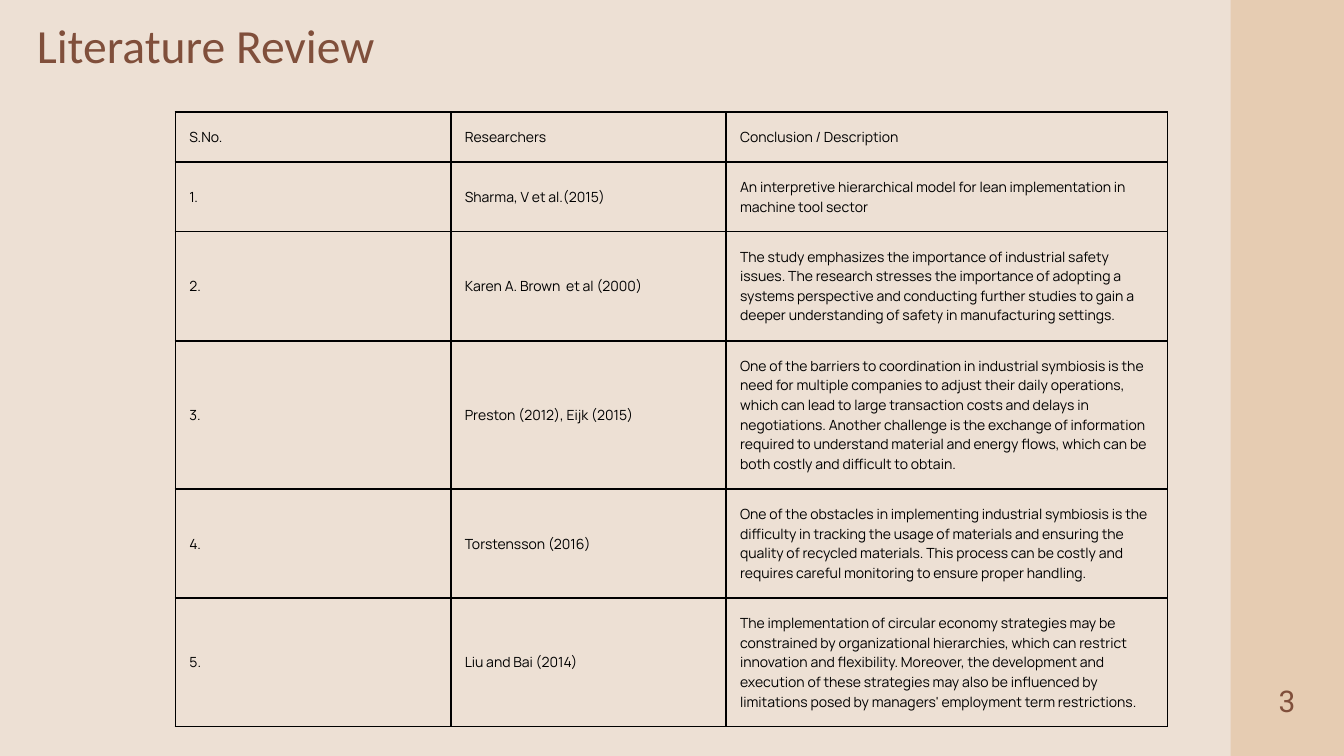
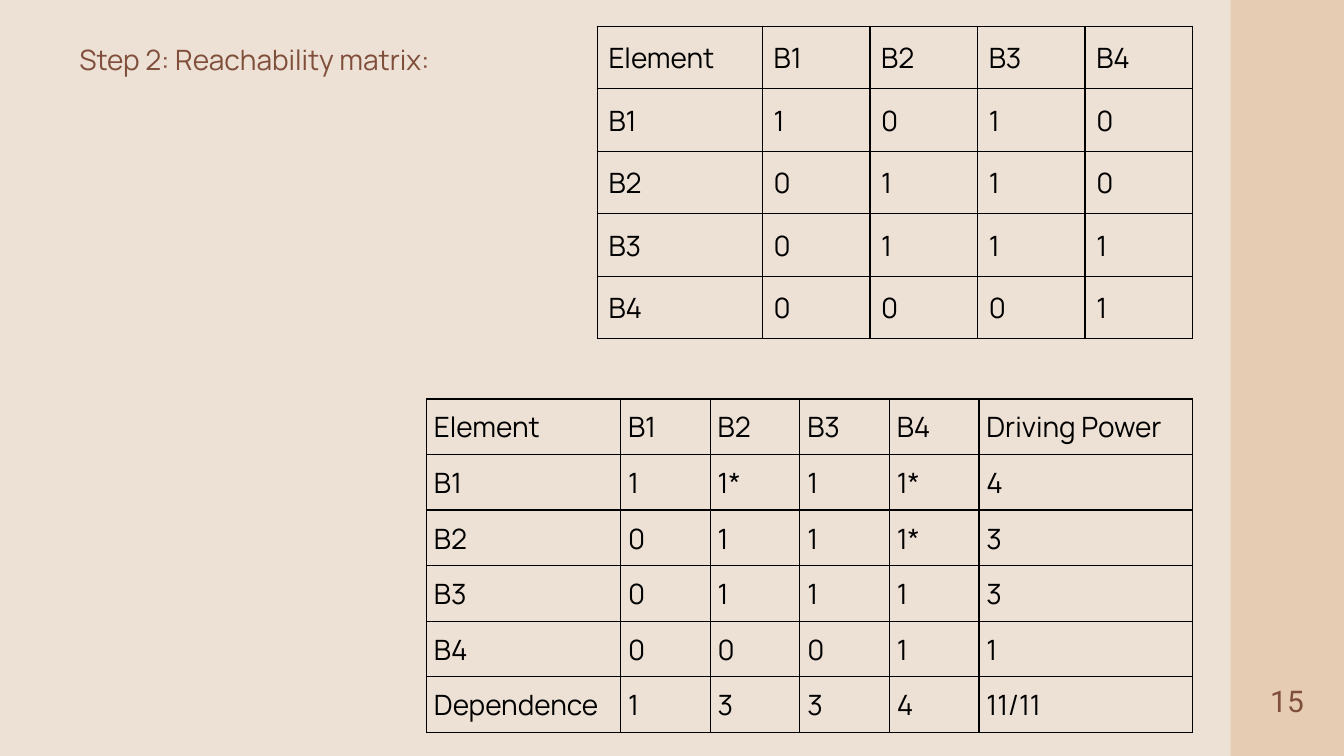
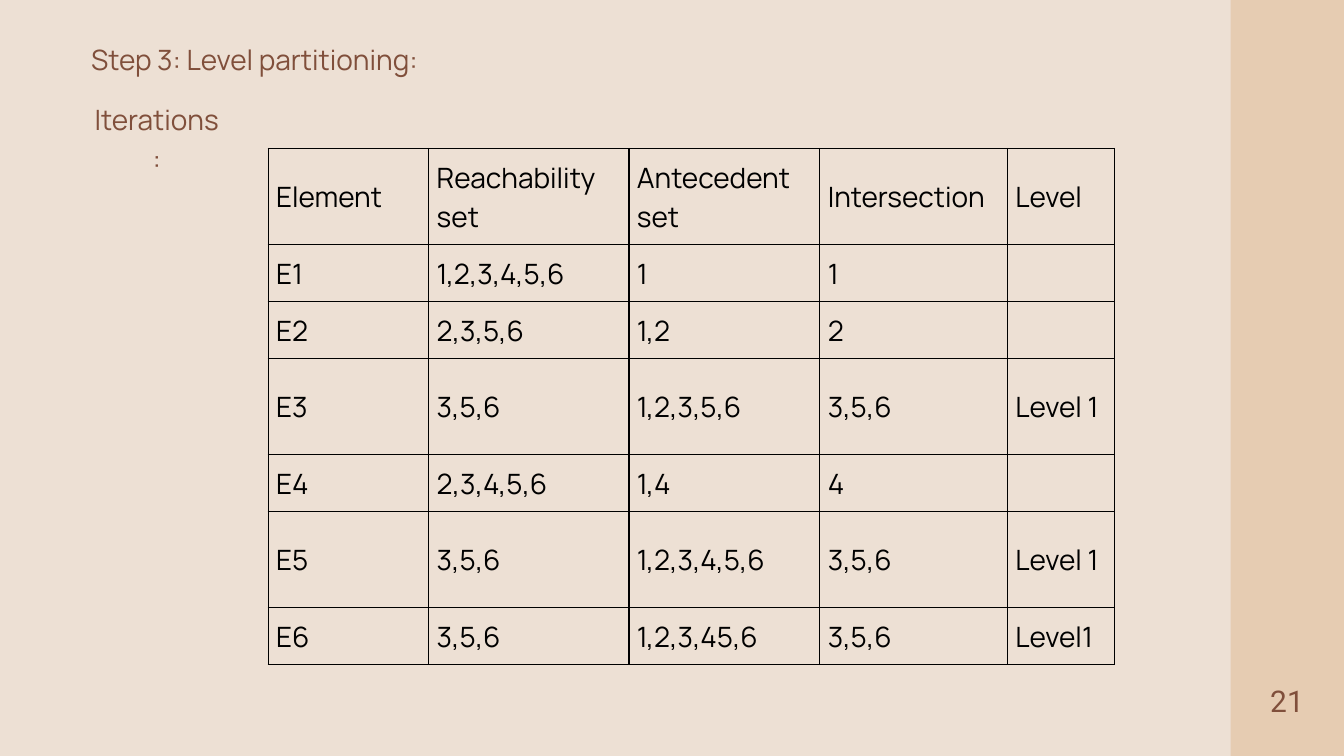
"""Build three slides of an industrial symbiosis study: a literature review and two modelling steps."""

from dataclasses import dataclass

from lxml.etree import SubElement
from pptx import Presentation
from pptx.dml.color import RGBColor
from pptx.enum.shapes import MSO_SHAPE as Preset
from pptx.enum.text import MSO_ANCHOR as Anchor, MSO_AUTO_SIZE as AutoSize, PP_ALIGN as Align
from pptx.oxml.ns import qn
from pptx.util import Pt

SLIDE_WIDTH, SLIDE_HEIGHT = 1440, 810
BAND_LEFT = 1318.5
CREAM, SAND, BROWN, BLACK = "EDE0D4", "E6CCB2", "804F3B", "000000"
MARGINS = ("margin_left", "margin_top", "margin_right", "margin_bottom")
FRAME_FORMAT = {
    **dict.fromkeys(MARGINS, 0),
    "word_wrap": True,
    "auto_size": AutoSize.NONE,
    "vertical_anchor": Anchor.TOP,
}


@dataclass(frozen=True)
class TextStyle:
    font: str
    size: float
    spacing: float
    color: str = BROWN
    align: Align = Align.CENTER


@dataclass(frozen=True)
class Label:
    text: str
    box: tuple[float, float, float, float]
    style: TextStyle


@dataclass(frozen=True)
class Grid:
    left: float
    top: float
    columns: list[float]
    rows: list[float]
    inset: float
    border: float
    style: TextStyle
    cells: list[list[str]]


@dataclass(frozen=True)
class Page:
    number: int
    title: Label
    grids: list[Grid]
    labels: tuple[Label, ...] = ()


HEADLINE = TextStyle("Calibri", 51, 51, align=Align.LEFT)
STEP = TextStyle("Manrope", 30, 42)
NUMBER = TextStyle("Roboto", 32, 44.8)
REVIEW_CELL = TextStyle("Manrope", 15, 21, BLACK, Align.LEFT)
MATRIX_CELL = TextStyle("Manrope", 30, 42, BLACK, Align.LEFT)
STEP_BOX = (34.5, 39.5, 476.5, 41)
NUMBER_BOX = (1348.5, 724.5, 61, 42.5)

REVIEW = Grid(188, 120, [295, 295, 473], [54, 74, 117, 159, 117, 137.5], 15, 2.25, REVIEW_CELL, [
    ["S.No.", "Researchers", "Conclusion / Description"],
    ["1.", "Sharma, V et al.(2015)",
     "An interpretive hierarchical model for lean implementation in machine tool sector"],
    ["2.", "Karen A. Brown  et al (2000)",
     "The study emphasizes the importance of industrial safety issues. The research stresses "
     "the importance of adopting a systems perspective and conducting further studies to gain "
     "a deeper understanding of safety in manufacturing settings."],
    ["3.", "Preston (2012), Eijk (2015)",
     "One of the barriers to coordination in industrial symbiosis is the need for multiple "
     "companies to adjust their daily operations, which can lead to large transaction costs "
     "and delays in negotiations. Another challenge is the exchange of information required "
     "to understand material and energy flows, which can be both costly and difficult to obtain."],
    ["4.", "Torstensson (2016)",
     "One of the obstacles in implementing industrial symbiosis is the difficulty in tracking "
     "the usage of materials and ensuring the quality of recycled materials. This process can "
     "be costly and requires careful monitoring to ensure proper handling."],
    ["5.", "Liu and Bai (2014)",
     "The implementation of circular economy strategies may be constrained by organizational "
     "hierarchies, which can restrict innovation and flexibility. Moreover, the development and "
     "execution of these strategies may also be influenced by limitations posed by managers' "
     "employment term restrictions."],
])

INITIAL_MATRIX = Grid(640, 28, [177] + [115.2] * 4, [67] * 5, 12, 1.5, MATRIX_CELL, [
    ["Element", "B1", "B2", "B3", "B4"],
    ["B1", "1", "0", "1", "0"],
    ["B2", "0", "1", "1", "0"],
    ["B3", "0", "1", "1", "1"],
    ["B4", "0", "0", "0", "1"],
])

FINAL_MATRIX = Grid(457, 427.5, [208] + [96] * 4 + [229], [59.5] * 6, 8, 1.5, MATRIX_CELL, [
    ["Element", "B1", "B2", "B3", "B4", "Driving Power"],
    ["B1", "1", "1*", "1", "1*", "4"],
    ["B2", "0", "1", "1", "1*", "3"],
    ["B3", "0", "1", "1", "1", "3"],
    ["B4", "0", "0", "0", "1", "1"],
    ["Dependence", "1", "3", "3", "4", "11/11"],
])

LEVELS = Grid(287.5, 159, [172, 214.5, 204.5, 201, 115], [103, 61, 61, 103, 61, 103, 61],
              8.5, 1.5, MATRIX_CELL, [
    ["Element", "Reachability set", "Antecedent set", "Intersection", "Level"],
    ["E1", "1,2,3,4,5,6", "1", "1", ""],
    ["E2", "2,3,5,6", "1,2", "2", ""],
    ["E3", "3,5,6", "1,2,3,5,6", "3,5,6", "Level 1"],
    ["E4", "2,3,4,5,6", "1,4", "4", ""],
    ["E5", "3,5,6", "1,2,3,4,5,6", "3,5,6", "Level 1"],
    ["E6", "3,5,6", "1,2,3,45,6", "3,5,6", "Level1"],
])

PAGES = [
    Page(3, Label("Literature Review", (39.5, 27.5, 1161.5, 54), HEADLINE), [REVIEW]),
    Page(15, Label("Step 2: Reachability matrix:", STEP_BOX, STEP), [INITIAL_MATRIX, FINAL_MATRIX]),
    Page(21, Label("Step 3: Level partitioning:", STEP_BOX, STEP), [LEVELS],
         (Label("Iterations:", (101, 103.5, 134, 41), STEP),)),
]


def rgb(color: str) -> RGBColor:
    return RGBColor.from_string(color)


def apply_format(target, values: dict) -> None:
    for name, value in values.items():
        setattr(target, name, value)


def write_text(frame, text: str, style: TextStyle) -> None:
    paragraph = frame.paragraphs[0]
    apply_format(paragraph, {"alignment": style.align, "line_spacing": Pt(style.spacing)})
    if text:
        run = paragraph.add_run()
        run.text = text
        apply_format(run.font, {"name": style.font, "size": Pt(style.size), "bold": False})
        run.font.color.rgb = rgb(style.color)


def fill_label(shape, label: Label) -> None:
    lengths = map(Pt, label.box)
    apply_format(shape, dict(zip(("left", "top", "width", "height"), lengths)))
    apply_format(shape.text_frame, FRAME_FORMAT)
    write_text(shape.text_frame, label.text, label.style)


def add_label(slide, label: Label) -> None:
    fill_label(slide.shapes.add_textbox(*map(Pt, label.box)), label)


def add_band(slide) -> None:
    band = slide.shapes.add_shape(
        Preset.RECTANGLE, Pt(BAND_LEFT), 0, Pt(SLIDE_WIDTH - BAND_LEFT), Pt(SLIDE_HEIGHT))
    band.shadow.inherit = False
    band.fill.solid()
    band.fill.fore_color.rgb = rgb(SAND)
    band.line.fill.background()


def add_borders(cell, width: float) -> None:
    properties = cell._tc.get_or_add_tcPr()
    for side in ("a:lnL", "a:lnR", "a:lnT", "a:lnB"):
        line = SubElement(properties, qn(side), w=str(int(Pt(width))))
        SubElement(SubElement(line, qn("a:solidFill")), qn("a:srgbClr"), val=BLACK)


def add_grid(slide, grid: Grid) -> None:
    table = slide.shapes.add_table(
        len(grid.rows), len(grid.columns), Pt(grid.left), Pt(grid.top),
        Pt(sum(grid.columns)), Pt(sum(grid.rows))).table
    apply_format(table, {"first_row": False, "horz_banding": False})
    for column, width in zip(table.columns, grid.columns):
        column.width = Pt(width)
    for row, height, texts in zip(table.rows, grid.rows, grid.cells):
        row.height = Pt(height)
        for cell, text in zip(row.cells, texts):
            apply_format(cell, dict.fromkeys(MARGINS, Pt(grid.inset)))
            cell.vertical_anchor = Anchor.MIDDLE
            add_borders(cell, grid.border)
            cell.fill.background()
            write_text(cell.text_frame, text, grid.style)


def add_page(presentation, page: Page) -> None:
    slide = presentation.slides.add_slide(presentation.slide_layouts.get_by_name("Title Only"))
    add_band(slide)
    for grid in page.grids:
        add_grid(slide, grid)
    fill_label(slide.shapes.title, page.title)
    for label in (*page.labels, Label(str(page.number), NUMBER_BOX, NUMBER)):
        add_label(slide, label)


def main() -> None:
    presentation = Presentation()
    apply_format(presentation, {"slide_width": Pt(SLIDE_WIDTH), "slide_height": Pt(SLIDE_HEIGHT)})
    background = presentation.slide_master.background.fill
    background.solid()
    background.fore_color.rgb = rgb(CREAM)
    for page in PAGES:
        add_page(presentation, page)
    presentation.save("out.pptx")


if __name__ == "__main__":
    main()
